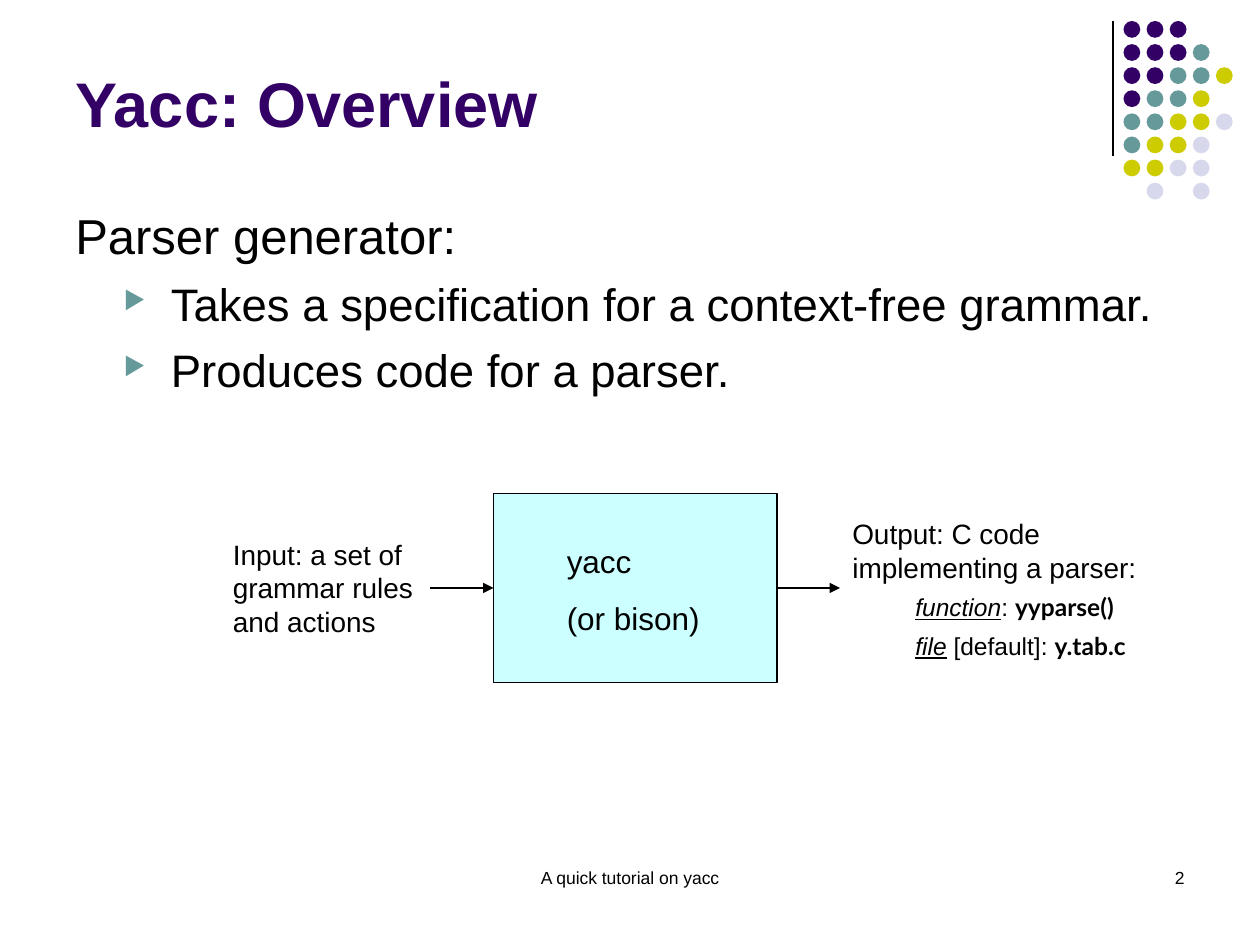
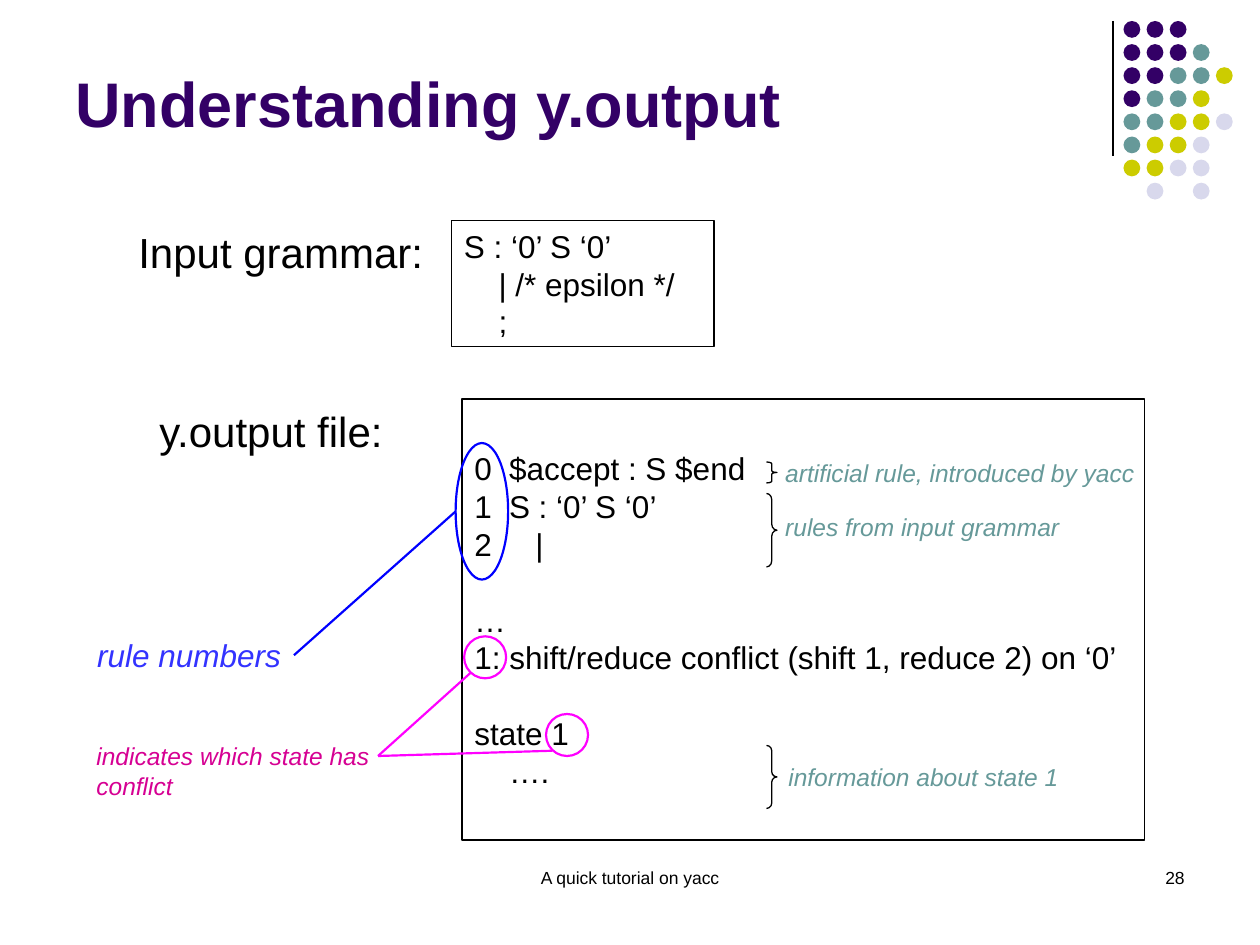
from lxml import etree
from pptx import Presentation
from pptx.dml.color import RGBColor
from pptx.enum.shapes import MSO_CONNECTOR, MSO_SHAPE
from pptx.enum.text import MSO_ANCHOR, PP_ALIGN
from pptx.oxml.ns import qn
from pptx.util import Pt

PX = 7620  # 120 px to the inch
STRAIGHT = MSO_CONNECTOR.STRAIGHT
RECTANGLE, ELLIPSE, BRACE = MSO_SHAPE.RECTANGLE, MSO_SHAPE.OVAL, MSO_SHAPE.RIGHT_BRACE
TOP, MIDDLE, BOTTOM = MSO_ANCHOR.TOP, MSO_ANCHOR.MIDDLE, MSO_ANCHOR.BOTTOM
LEFT, CENTER, RIGHT = PP_ALIGN.LEFT, PP_ALIGN.CENTER, PP_ALIGN.RIGHT
SIDE_LEFT, SIDE_RIGHT = 1, 3

COLORS = {
    "text": "000000", "purple": "330066", "teal": "669999", "olive": "CCCC00",
    "lavender": "D8D8EC", "box": "CCFFFF", "blue": "0000FF", "blue text": "3333FF",
    "pink": "FF00FF", "pink text": "D60093",
}
FONT, CODE_FONT = "Arial", "Lato"
LINE_HEIGHT = 1.2
DOT_COLORS = {"P": "purple", "T": "teal", "Y": "olive", "L": "lavender"}
DOT_ROWS = ["PPP", "PPPT", "PPTTY", "PTTY", "TTYYL", "TYYL", "YYLL", " L L"]


def add_box(slide, box, paragraphs=(), preset=None, fill=None, line=None, weight=0.75,
            size=18, color="text", anchor=TOP, align=LEFT, wrap=True):
    """Add a text box or, with a preset, a shape.

    A paragraph is (runs, options); a run is (text, flags), with the flags
    b bold, i italic, u underlined and c code font.
    """
    lengths = [value * PX for value in box]
    if preset is None:
        shape = slide.shapes.add_textbox(*lengths)
    else:
        shape = slide.shapes.add_shape(preset, *lengths)
        shape.shadow.inherit = False
        if fill:
            shape.fill.solid()
            shape.fill.fore_color.rgb = RGBColor.from_string(COLORS[fill])
        else:
            shape.fill.background()
        if line:
            shape.line.color.rgb = RGBColor.from_string(COLORS[line])
            shape.line.width = Pt(weight)
        else:
            shape.line.fill.background()
    frame = shape.text_frame
    frame.word_wrap = wrap
    frame.vertical_anchor = anchor
    for index, (runs, options) in enumerate(paragraphs):
        paragraph = frame.add_paragraph() if index else frame.paragraphs[0]
        points = options.get("size", size)
        paragraph.alignment = align
        paragraph.line_spacing = Pt(points * LINE_HEIGHT * options.get("spacing", 1))
        paragraph.space_before = Pt(options.get("before", 0))
        properties = paragraph._p.get_or_add_pPr()
        properties.set("marL", str(options.get("margin", 0) * PX))
        properties.set("indent", str(options.get("indent", 0) * PX))
        if "bullet" in options:
            bullet_color = etree.SubElement(properties, qn("a:buClr"))
            etree.SubElement(bullet_color, qn("a:srgbClr"), val=COLORS["teal"])
            etree.SubElement(properties, qn("a:buSzPct"), val="55000")
            etree.SubElement(properties, qn("a:buChar"), char=options["bullet"])
        for text, flags in runs:
            run = paragraph.add_run()
            run.text = text
            run.font.name = CODE_FONT if "c" in flags else FONT
            run.font.size = Pt(points)
            run.font.color.rgb = RGBColor.from_string(COLORS[color])
            run.font.bold = "b" in flags
            run.font.italic = "i" in flags
            run.font.underline = "u" in flags
    return shape


def add_line(slide, start, end, color="text", weight=0.75, arrow=False):
    connector = slide.shapes.add_connector(STRAIGHT, *[value * PX for value in start + end])
    connector.line.color.rgb = RGBColor.from_string(COLORS[color])
    connector.line.width = Pt(weight)
    if arrow:
        etree.SubElement(connector.line._get_or_add_ln(), qn("a:tailEnd"), type="triangle")
    etree.SubElement(connector._element.spPr, qn("a:effectLst"))
    return connector


presentation = Presentation()
presentation.slide_width = 1200 * PX
presentation.slide_height = 900 * PX

# Shared by both slides: dot pattern, title, footer and number
slides = []
for title, number in [("Yacc: Overview", "2"), ("Understanding y.output", "28")]:
    slide = presentation.slides.add_slide(presentation.slide_layouts[6])
    slides.append(slide)
    add_line(slide, (1060, 20), (1060, 149))
    for row, dots in enumerate(DOT_ROWS):
        for column, dot in enumerate(dots):
            if dot in DOT_COLORS:
                add_box(slide, (1070 + 22 * column, 20 + 22 * row, 16, 16),
                        preset=ELLIPSE, fill=DOT_COLORS[dot])
    add_box(slide, (60, 16, 990, 123), [([(title, "b")], {})],
            size=36, color="purple", anchor=BOTTOM)
    add_box(slide, (410, 820, 380, 60), [([("A quick tutorial on yacc", "")], {})],
            size=10, align=CENTER)
    add_box(slide, (860, 820, 280, 60), [([(number, "")], {})], size=10, align=RIGHT)
overview, output = slides

# Overview: bullets and the flow from grammar to parser
bullet = {"size": 26, "before": 6.5, "margin": 91, "indent": -45, "bullet": "▶"}
add_box(overview, (60, 190, 1080, 614), [
    ([("Parser generator:", "")], {"size": 28, "before": 7}),
    ([("Takes a specification for a context-free grammar.", "")], bullet),
    ([("Produces code for a parser.", "")], bullet),
])
yacc_box = add_box(overview, (470, 470, 270, 180), preset=RECTANGLE, fill="box", line="text")
add_box(overview, (210, 506, 222, 108),
        [([("Input: a set of grammar rules and actions", "")], {})], size=16)
detail = {"size": 14, "margin": 60, "spacing": 1.3}
add_box(overview, (800, 486, 300, 149), [
    ([("Output: C code implementing a parser:", "")], {}),
    ([("function", "iu"), (": ", ""), ("yyparse()", "bc")], detail),
    ([("file", "iu"), (" [default]: ", ""), ("y.tab.c", "bc")], detail),
], size=16)
input_arrow = add_line(overview, (410, 560), (470, 560), arrow=True)
input_arrow.end_connect(yacc_box, SIDE_LEFT)
output_arrow = add_line(overview, (740, 560), (800, 560), arrow=True)
output_arrow.begin_connect(yacc_box, SIDE_RIGHT)
add_box(overview, (528, 510, 187, 103),
        [([(name, "")], {"before": 11.2}) for name in ("yacc", "(or bison)")], anchor=MIDDLE)

# Understanding y.output: the two listings and their labels
for label, box in [("Input grammar:", (120, 210, 295, 60)),
                   ("y.output file:", (140, 380, 239, 60))]:
    add_box(output, box, [([(label, "")], {})], size=24, wrap=False)

indented = {"margin": 33}
after_gap = {"before": 18 * LINE_HEIGHT}
grammar = [("S : ‘0’ S ‘0’", {}), ("| /* epsilon */", indented), (";", indented)]
output_file = [
    ("$accept : S $end", indented),
    ("S : ‘0’ S ‘0’", indented),
    ("|", {"margin": 58}),
    ("…", after_gap),
    ("1: shift/reduce conflict (shift 1, reduce 2) on ‘0’", {}),
    ("state 1", after_gap),
    ("….", indented),
]
for listing, box in [(grammar, (430, 210, 250, 120)), (output_file, (440, 380, 650, 420))]:
    add_box(output, box, [([(text, "")], options) for text, options in listing],
            preset=RECTANGLE, line="text", anchor=MIDDLE)
add_box(output, (440, 422, 45, 120), [([(number, "")], {}) for number in "012"])

# Braces with the notes beside them
for note, top, height, note_left, note_top in [
    ("artificial rule, introduced by yacc", 440, 20, 736, 430),
    ("rules from input grammar", 470, 70, 736, 482),
    ("information about state 1", 710, 60, 739, 720),
]:
    brace = add_box(output, (730, top, 10, height), preset=BRACE, line="text")
    brace.adjustments[0] = height / 10 / 12
    add_box(output, (note_left, note_top, 380, 41), [([(note, "i")], {})],
            size=14, color="teal")

# Rings around the numbers, and lines to their explanations
for ring, color in [((434, 422, 50, 130), "blue"),
                    ((442, 606, 40, 40), "pink"),
                    ((520, 680, 40, 40), "pink")]:
    add_box(output, ring, preset=ELLIPSE, line=color, weight=1.25)
rule_numbers = add_box(output, (80, 600, 200, 48), [([("rule numbers", "i")], {})],
                       color="blue text", align=CENTER, wrap=False)
add_box(output, (80, 700, 292, 68), [([("indicates which state has conflict", "i")], {})],
        size=14, color="pink text")
rule_line = add_line(output, (280, 624), (434, 487), "blue", 1.25)
rule_line.begin_connect(rule_numbers, SIDE_RIGHT)
for ring_edge in [(448, 641), (526, 715)]:
    add_line(output, (360, 720), ring_edge, "pink", 1.25)

presentation.save("out.pptx")
